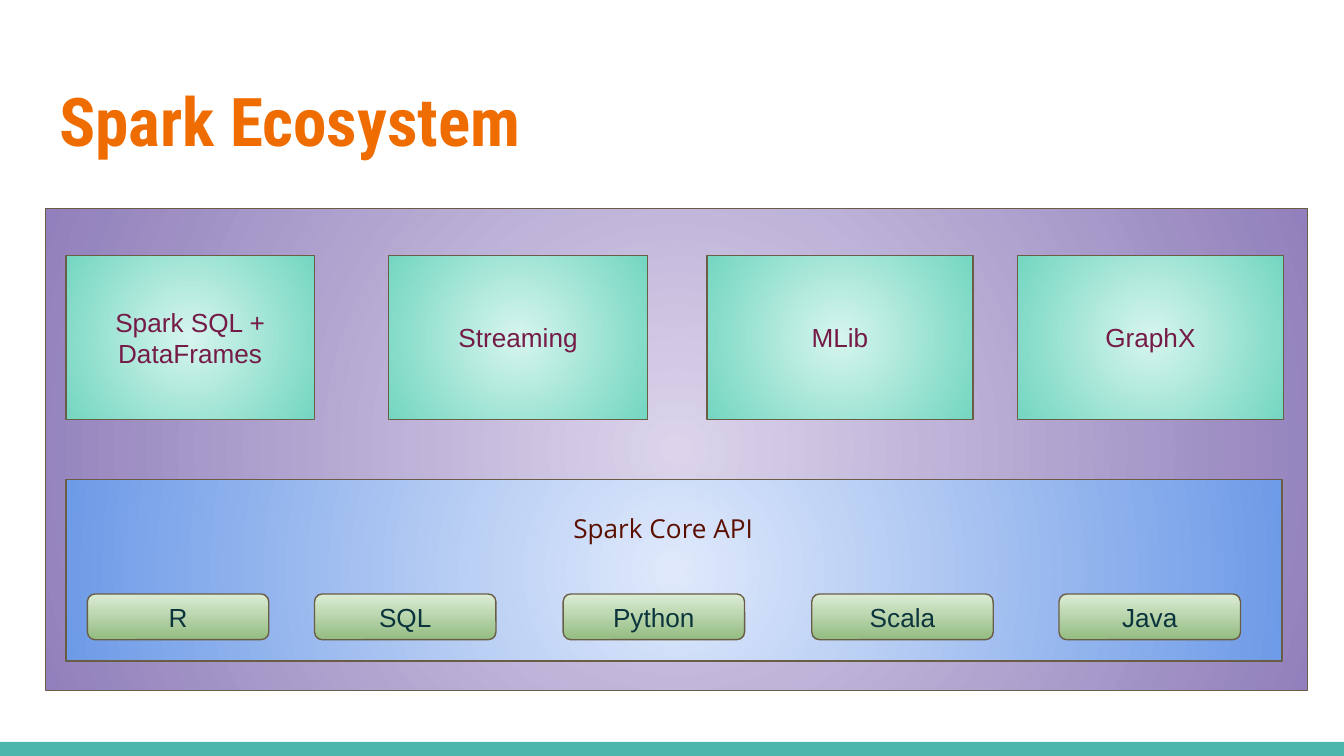
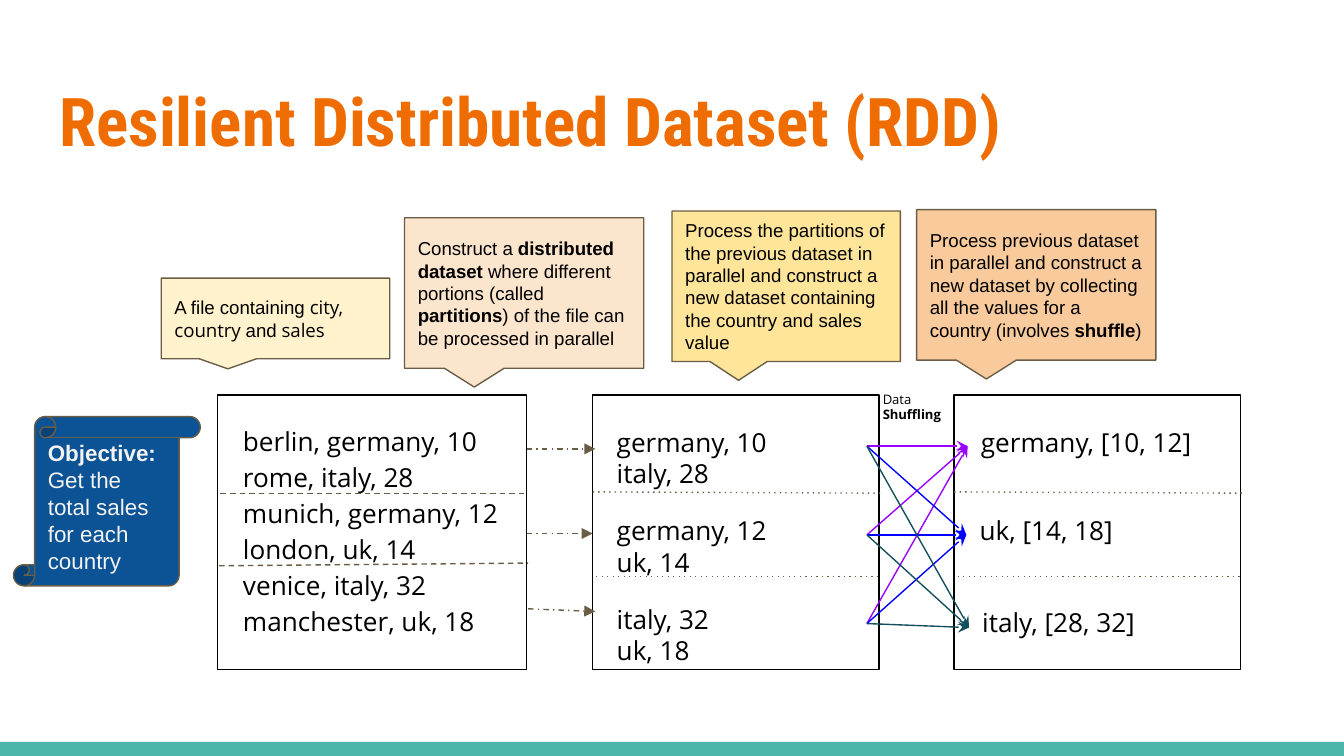
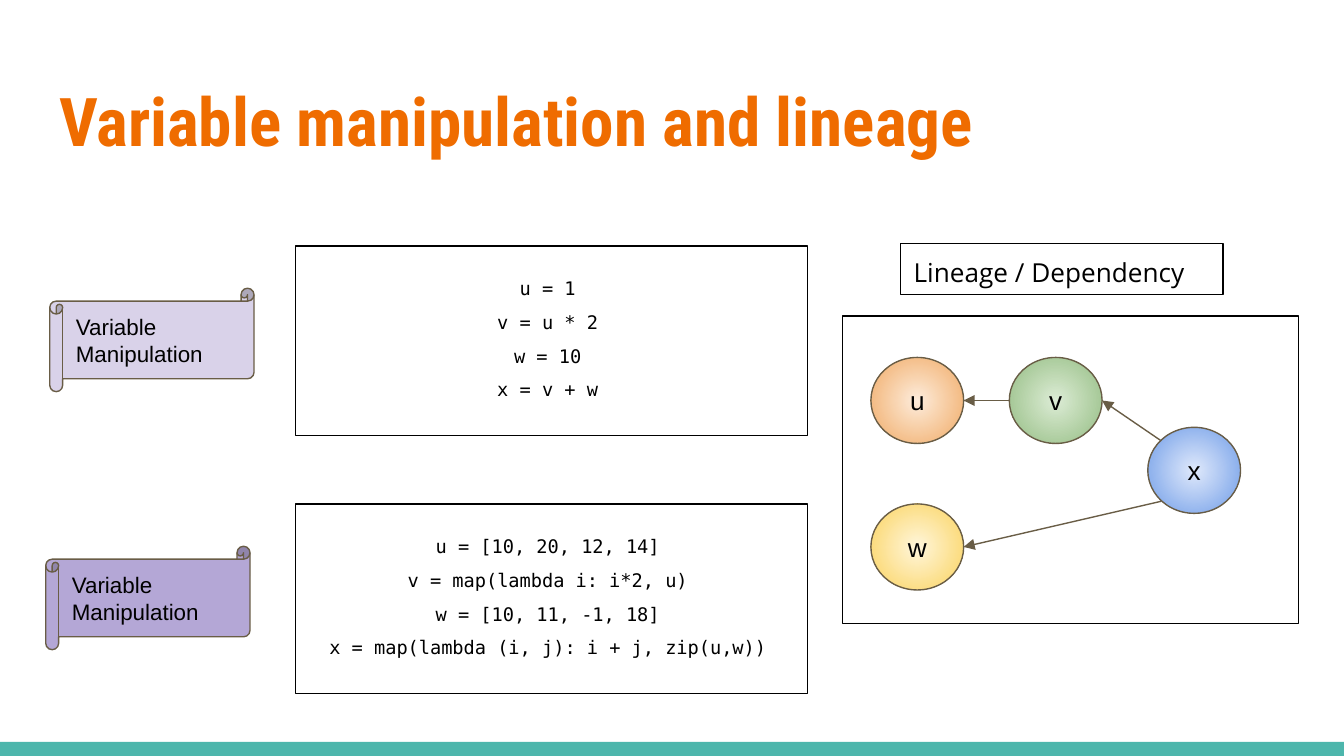
import pptx
import pptx.dml.color
import pptx.enum.shapes
import pptx.enum.text
import pptx.oxml
import pptx.oxml.ns
import pptx.util
from lxml import etree

# Colours
RGBColor = pptx.dml.color.RGBColor
BLACK = RGBColor(0x00, 0x00, 0x00)
PALE = RGBColor(0xF3, 0xF3, 0xF3)
ORANGE = RGBColor(0xEF, 0x6C, 0x00)
TEAL = RGBColor(0x4D, 0xB6, 0xAC)
BROWN = RGBColor(0x69, 0x5D, 0x46)
PLUM = RGBColor(0x74, 0x1B, 0x47)
RUST = RGBColor(0x5B, 0x0F, 0x00)
INK = RGBColor(0x0C, 0x34, 0x3D)
NAVY = RGBColor(0x0B, 0x53, 0x94)
VIOLET = RGBColor(0x99, 0x00, 0xFF)
BLUE = RGBColor(0x00, 0x00, 0xFF)
PINE = RGBColor(0x13, 0x4F, 0x5C)
CREAM = RGBColor(0xFF, 0xF2, 0xCC)
PEACH = RGBColor(0xFC, 0xE5, 0xCD)
YELLOW = RGBColor(0xFF, 0xE5, 0x99)
APRICOT = RGBColor(0xF9, 0xCB, 0x9C)
LILAC = RGBColor(0xD9, 0xD2, 0xE9)
MAUVE = RGBColor(0xB4, 0xA7, 0xD6)

# Gradients, light to dark
PURPLES = (RGBColor(0xDB, 0xD4, 0xEB), RGBColor(0x91, 0x80, 0xBB))
BLUES = (RGBColor(0xDF, 0xE9, 0xFB), RGBColor(0x6E, 0x9B, 0xE7))
MINTS = (RGBColor(0xD6, 0xF5, 0xEE), RGBColor(0x73, 0xD6, 0xC0))
GREENS = (RGBColor(0xDC, 0xEC, 0xD5), RGBColor(0x93, 0xBC, 0x81))
CORALS = (RGBColor(0xFD, 0xEC, 0xDB), RGBColor(0xF0, 0xA9, 0x63))
GOLDS = (RGBColor(0xFF, 0xF6, 0xDB), RGBColor(0xFA, 0xD2, 0x5C))

# Fonts
HEAD, SANS, OPEN, MONO = "Roboto Condensed", "Arial", "Open Sans", "DejaVu Sans Mono"

SHAPE = pptx.enum.shapes.MSO_SHAPE
ALIGN = pptx.enum.text.PP_ALIGN
ANCHOR = pptx.enum.text.MSO_ANCHOR
BOLD = {"bold": True}


class Deck:
    """Shared style and the current slide, on a grid 100 columns wide."""

    def __init__(self):
        self.prs = pptx.Presentation()
        self.prs.slide_width = pptx.util.Inches(10)
        self.prs.slide_height = pptx.util.Inches(5.625)
        self.cell = self.prs.slide_width / 100
        self.slide = None

    def span(self, *cells):
        return [pptx.util.Emu(round(n * self.cell)) for n in cells]

    def page(self, title):
        self.slide = self.prs.slides.add_slide(self.prs.slide_layouts[5])
        if len(self.prs.slides) == 1:
            self.band()
        head = self.slide.shapes.title
        head.left, head.top, head.width, head.height = self.span(3.4, 4.9, 93.2, 7.7)
        self.put(head, [title], 36, ORANGE, HEAD, bold=True, anchor=ANCHOR.TOP)

    def band(self):
        """Bottom band, moved to the master so that every slide has it."""
        band = self.box((0, 55.2, 100, 1.05), TEAL, line=None)
        band.element.nvSpPr.cNvPr.set("id", "99")
        self.prs.slide_master.element.cSld.spTree.append(band.element)

    def put(self, shape, paras, size=14, color=BLACK, font=SANS, align=ALIGN.LEFT,
            gap=1.0, bold=False, anchor=None):
        """Each paragraph is a string or a list of (text, changes) runs."""
        frame = shape.text_frame
        frame.word_wrap = True
        frame.auto_size = pptx.enum.text.MSO_AUTO_SIZE.NONE
        if anchor is not None:
            frame.vertical_anchor = anchor
        frame.margin_left, frame.margin_top, frame.margin_right, frame.margin_bottom = self.span(1, 1, 1, 1)
        for i, runs in enumerate(paras):
            para = frame.add_paragraph() if i else frame.paragraphs[0]
            para.alignment, para.line_spacing = align, gap
            for text, change in [(runs, {})] if isinstance(runs, str) else runs:
                run = para.add_run()
                run.text = text
                run.font.size = pptx.util.Pt(size)
                run.font.color.rgb = color
                run.font.name = change.get("font", font)
                run.font.bold = change.get("bold", bold)

    def text(self, at, paras, **style):
        self.put(self.slide.shapes.add_textbox(*self.span(*at)), paras, **style)

    def box(self, at, fill=None, kind=SHAPE.RECTANGLE, line=BROWN, paras=(), round_fade=True, **style):
        shape = self.slide.shapes.add_shape(kind, *self.span(*at))
        shape.shadow.inherit = False
        if fill is None:
            shape.fill.background()
        elif isinstance(fill, RGBColor):
            shape.fill.solid()
            shape.fill.fore_color.rgb = fill
        else:
            self.fade(shape, fill, round_fade)
        if line is None:
            shape.line.fill.background()
        else:
            shape.line.color.rgb = line
            shape.line.width = pptx.util.Pt(0.75)
        if paras:
            self.put(shape, paras, **style)
        return shape

    def fade(self, shape, tones, from_mid):
        shape.fill.gradient()
        shape.fill.gradient_angle = 270
        for stop, tone, place in zip(shape.fill.gradient_stops, tones, (0, 1)):
            stop.color.rgb, stop.position = tone, place
        if from_mid:
            lin = shape.element.spPr.find(".//" + pptx.oxml.ns.qn("a:lin"))
            lin.getparent().replace(lin, pptx.oxml.parse_xml(
                f'<a:path {pptx.oxml.ns.nsdecls("a")} path="circle">'
                '<a:fillToRect l="50000" t="50000" r="50000" b="50000"/></a:path>'))

    def line(self, start, end, color=BROWN, dash=None, tip=None):
        kind = pptx.enum.shapes.MSO_CONNECTOR.STRAIGHT
        line = self.slide.shapes.add_connector(kind, *self.span(*start, *end))
        line.line.color.rgb = color
        line.line.width = pptx.util.Pt(0.75)
        qn = pptx.oxml.ns.qn
        props = line.element.spPr
        stroke = props.find(qn("a:ln"))
        if dash:
            etree.SubElement(stroke, qn("a:prstDash"), val=dash)
        if tip:
            etree.SubElement(stroke, qn("a:tailEnd"), type=tip)
        etree.SubElement(props, qn("a:effectLst"))


def stack(deck):
    deck.page("Spark Ecosystem")
    deck.box((3.4, 15.5, 93.9, 35.9), PURPLES)
    deck.box((4.9, 35.7, 90.5, 13.5), BLUES)
    # Libraries
    for name, left, width in (("Spark SQL + DataFrames", 4.9, 18.5), ("Streaming", 28.9, 19.3),
                              ("MLib", 52.6, 19.8), ("GraphX", 75.7, 19.8)):
        deck.box((left, 19, width, 12.2), MINTS, paras=[name], color=PLUM, align=ALIGN.CENTER)
    # Core and its languages
    deck.text((23.4, 37.1, 51.9, 3.4), ["Spark Core API"], color=RUST, font=OPEN, align=ALIGN.CENTER)
    for name, left in (("R", 6.5), ("SQL", 23.4), ("Python", 41.9), ("Scala", 60.4), ("Java", 78.8)):
        deck.box((left, 44.2, 13.5, 3.4), GREENS, SHAPE.ROUNDED_RECTANGLE, paras=[name],
                 round_fade=False, color=INK, align=ALIGN.CENTER)


def dataset(deck):
    deck.page("Resilient Distributed Dataset (RDD)")
    # Stages
    for left, width in ((16.2, 23), (44.1, 21.3), (71, 21.3)):
        deck.box((left, 29.4, width, 20.4), line=BLACK)
    deck.text((17.1, 30.3, 21.3, 18.8),
              ["berlin, germany, 10", "rome, italy, 28", "munich, germany, 12",
               "london, uk, 14", "venice, italy, 32", "manchester, uk, 18"], font=OPEN, gap=1.15)
    # Partition borders
    deck.line((16.4, 36.7), (39.3, 36.7), dash="dash")
    deck.line((16.3, 42.1), (39.3, 41.9), dash="dash")
    for left, right in ((44.1, 65.5), (71, 92.4)):
        deck.line((left, 36.6), (right, 36.7), dash="dot")
        deck.line((left + 0.25, 42.9), (right, 42.9), dash="dot")
    # Reading the file into partitions
    for start, end in (((39.2, 33.4), (44.3, 33.4)), ((39.2, 39.7), (44.1, 39.7)),
                       ((39.3, 45.3), (44.3, 45.5))):
        deck.line(start, end, dash="dashDot", tip="triangle")
    # Notes
    for at, fill, runs in (
        ((12, 20.7, 17, 6), CREAM,
         [("A file containing ", {}), ("city, country ", {"font": OPEN}), ("and", {}),
          (" sales", {"font": OPEN})]),
        ((30.1, 16.2, 17.8, 11.2), PEACH,
         [("Construct a ", {}), ("distributed dataset ", BOLD),
          ("where different portions (called ", {}), ("partitions", BOLD),
          (") of the file can be processed in parallel", {})]),
        ((50, 15.7, 17, 11.2), YELLOW,
         "Process the partitions of the previous dataset in parallel and construct "
         "a new dataset containing the country and sales value"),
        ((68.2, 15.6, 17.8, 11.2), APRICOT,
         [("Process previous dataset in parallel and construct a new dataset by "
           "collecting all the values for a country (involves ", {}), ("shuffle", BOLD), (")", {})]),
    ):
        deck.box(at, fill, SHAPE.RECTANGULAR_CALLOUT, paras=[runs], size=10)
    deck.box((1, 31, 13.9, 12.6), NAVY, SHAPE.VERTICAL_SCROLL, size=12, color=PALE,
             paras=[[("Objective:", BOLD)], "Get the total sales for each country"])
    # Partitions and grouped values
    for i, pair in enumerate((("germany, 10", "italy, 28"), ("germany, 12", "uk, 14"),
                              ("italy, 32", "uk, 18"))):
        deck.text((44.9, 30.7 + 6.6 * i, 19.5, 5), pair, font=OPEN)
    goals = (("germany, [10, 12]", 72, 30.7, 33.2, VIOLET),
             ("uk, [14, 18]", 71.9, 37.3, 39.8, BLUE),
             ("italy, [28, 32]", 72.1, 44.1, 46.7, PINE))
    for words, left, top, mid, color in goals:
        deck.text((left, top, 19.5, 5), [words], font=OPEN)
        # Shuffle
        for i in range(3):
            deck.line((64.5, 33.2 + 6.6 * i), (left, mid), color, tip="stealth")
    deck.text((64.7, 28.1, 7.1, 3.9), [[("Data ", {}), ("Shuffling", BOLD)]], size=7, font=OPEN)


def lineage(deck):
    deck.page("Variable manipulation and lineage")
    # Graph
    deck.box((62.7, 23.5, 33.9, 22.9), line=BLACK)
    for name, left, top, fill in (("u", 64.8, 26.6, CORALS), ("v", 75.1, 26.6, GREENS),
                                  ("w", 64.8, 37.5, GOLDS), ("x", 85.4, 31.8, BLUES)):
        deck.box((left, top, 6.9, 6.4), fill, SHAPE.OVAL, paras=[name], align=ALIGN.CENTER)
    for start, end in (((75.1, 29.8), (71.7, 29.8)), ((86.4, 32.8), (82, 29.8)),
                       ((86.4, 37.3), (71.7, 40.7))):
        deck.line(start, end, tip="triangle")
    deck.box((67, 18.1, 24, 3.8), line=BLACK, paras=["Lineage / Dependency"], font=OPEN,
             anchor=ANCHOR.TOP)
    # Code and its labels
    for top, left, fill, code in (
        (18.3, 3.7, LILAC, ["u = 1", "v = u * 2", "w = 10", "x = v + w"]),
        (37.5, 3.4, MAUVE, ["u = [10, 20, 12, 14]", "v = map(lambda i: i*2, u)",
                            "w = [10, 11, -1, 18]", "x = map(lambda (i, j): i + j, zip(u,w))"]),
    ):
        deck.box((22, top, 38.1, 14.1), line=BLACK)
        deck.text((23.1, top + 0.5, 35.3, 12.7), code, size=10, font=MONO, align=ALIGN.CENTER, gap=1.5)
        deck.box((left, top + 3.15, 15.2, 7.7), fill, SHAPE.HORIZONTAL_SCROLL,
                 paras=["Variable Manipulation"], size=12)


def main():
    deck = Deck()
    for draw in (stack, dataset, lineage):
        draw(deck)
    deck.prs.save("out.pptx")


if __name__ == "__main__":
    main()
